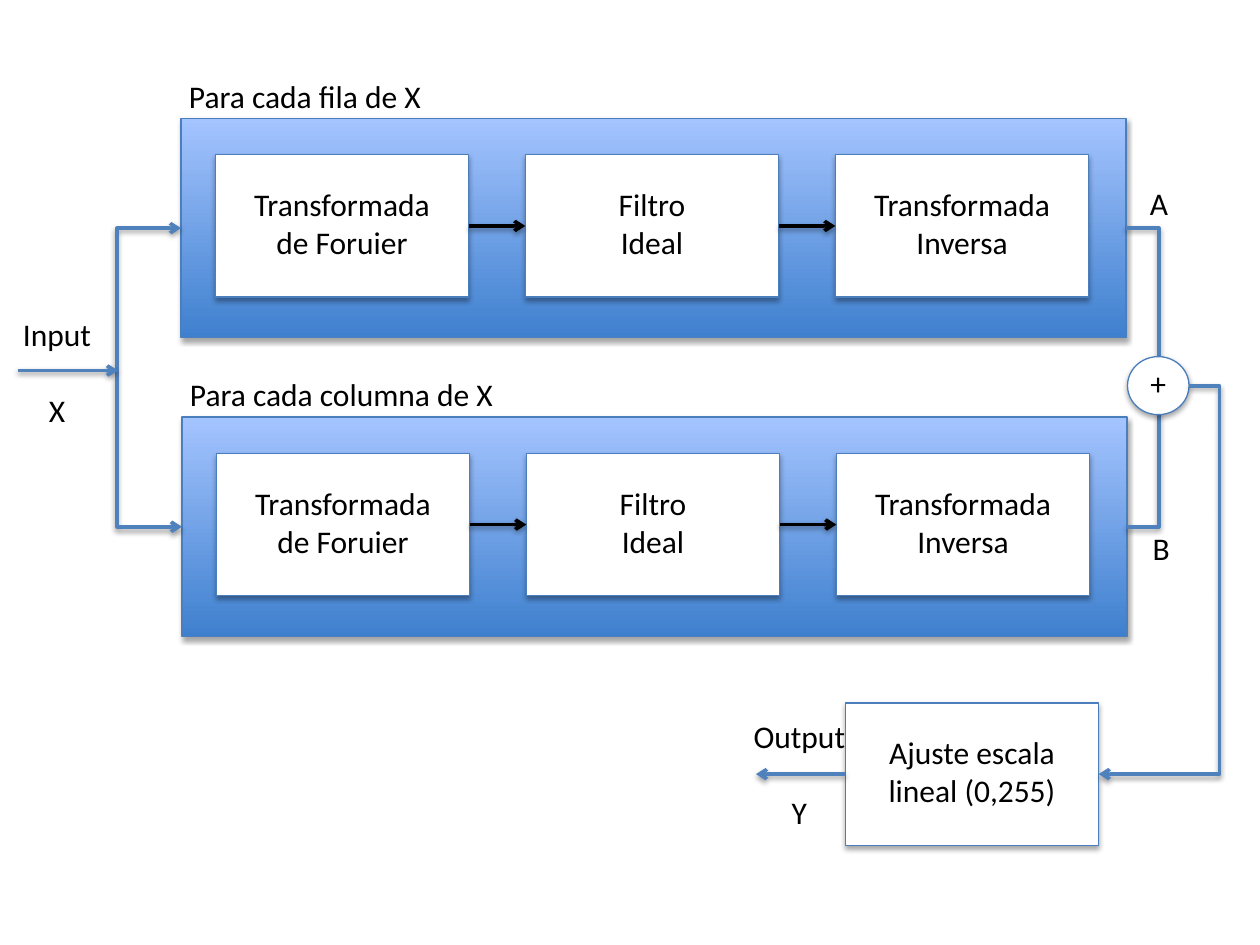
from dataclasses import dataclass

from lxml.etree import SubElement
from pptx import Presentation
from pptx.dml.color import RGBColor as Rgb
from pptx.enum.shapes import MSO_CONNECTOR as Link, MSO_SHAPE as Preset
from pptx.enum.text import MSO_ANCHOR as Anchor, PP_ALIGN as Align
from pptx.oxml.ns import qn
from pptx.util import Cm, Pt


@dataclass(frozen=True)
class Theme:
    font: str = "Calibri"
    size: float = 18
    line_gap: float = 22
    text: str = "000000"
    box: str = "FFFFFF"
    edge: str = "4B7EBC"
    flow: str = "4F81BD"
    step: str = "000000"
    panel_low: str = "3F80CE"
    panel_high: str = "A4C4FF"
    edge_width: float = 0.75
    flow_width: float = 2


THEME = Theme()
TOP, LEFT, BOTTOM, RIGHT = range(4)

# Layout in centimetres
PANEL_X, PANEL_Y, PANEL_W, PANEL_H = 3.65, 2.39, 19.05, 4.42
ROW_SHIFT, ROW_PITCH = 0.02, 6.02
BOX_W, BOX_H, BOX_PITCH = 5.11, 2.87, 6.25
BOX_DX, BOX_DY = 0.69, 0.73
ROWS = [("Para cada fila de X", 5.4), ("Para cada columna de X", 7)]
STEPS = [["Transformada", "de Foruier"], ["Filtro", "Ideal"],
         ["Transformada", "Inversa"]]


def set_all(target, values):
    for name, value in values.items():
        setattr(target, name, value)


def add_shadow(effects, opacity, distance):
    shadow = SubElement(effects, qn("a:outerShdw"), blurRad=str(Pt(3.1)),
                        dist=str(Pt(distance)), dir="5400000", rotWithShape="0")
    color = SubElement(shadow, qn("a:srgbClr"), val="000000")
    SubElement(color, qn("a:alpha"), val=str(opacity * 1000))


def write(frame, lines, align=Align.CENTER, gap=0, **layout):
    set_all(frame, {"word_wrap": False, **layout})
    for index, line in enumerate(lines):
        para = frame.paragraphs[0] if index == 0 else frame.add_paragraph()
        para.alignment = align
        if index and gap:
            para.space_before = Pt(gap)
        span = para.add_run()
        span.text = line
        set_all(span.font, {"name": THEME.font, "size": Pt(THEME.size)})
        span.font.color.rgb = Rgb.from_string(THEME.text)


def add_label(page, x, y, width, height, lines, **style):
    box = page.shapes.add_textbox(Cm(x), Cm(y), Cm(width), Cm(height))
    write(box.text_frame, lines, **style)


def add_block(page, x, y, width, height, lines=(), preset=Preset.RECTANGLE):
    block = page.shapes.add_shape(preset, Cm(x), Cm(y), Cm(width), Cm(height))
    block.shadow.inherit = False
    add_shadow(block.element.spPr.find(qn("a:effectLst")), 35, 1.8)
    block.fill.solid()
    block.fill.fore_color.rgb = Rgb.from_string(THEME.box)
    block.line.color.rgb = Rgb.from_string(THEME.edge)
    block.line.width = Pt(THEME.edge_width)
    if lines:
        write(block.text_frame, lines, vertical_anchor=Anchor.MIDDLE,
              margin_left=0, margin_right=0, margin_top=0, margin_bottom=Cm(0.12))
    return block


def add_panel(page, x, y):
    fill = add_block(page, x, y, PANEL_W, PANEL_H).fill
    fill.gradient()
    fill.gradient_angle = 90
    for stop, color in zip(fill.gradient_stops, (THEME.panel_low, THEME.panel_high)):
        stop.color.rgb = Rgb.from_string(color)


def add_link(page, start, end, color=THEME.flow, ends=("tailEnd",), via_x=None):
    """Draw a straight link, or an elbow whose upright part stands at via_x."""
    kind = Link.STRAIGHT if via_x is None else Link.ELBOW
    link = page.shapes.add_connector(kind, *(Cm(value) for value in start + end))
    link.line.color.rgb = Rgb.from_string(color)
    link.line.width = Pt(THEME.flow_width)
    properties = link.element.spPr
    for name in ends:
        SubElement(properties.find(qn("a:ln")), qn(f"a:{name}"), type="arrow")
    add_shadow(SubElement(properties, qn("a:effectLst")), 38, 1.6)
    if via_x is not None:
        bend = round((via_x - start[0]) / (end[0] - start[0]) * 100000)
        guides = properties.find(qn("a:prstGeom")).get_or_add_avLst()
        SubElement(guides, qn("a:gd"), name="adj1", fmla=f"val {bend}")
    return link


def add_row(page, x, y, title, title_width):
    add_panel(page, x, y)
    add_label(page, x - 0.09, y - 0.97, title_width, 1.02, [title], align=Align.LEFT)
    top = y + BOX_DY
    middle = top + BOX_H / 2
    previous = None
    for index, lines in enumerate(STEPS):
        left = x + BOX_DX + index * BOX_PITCH
        box = add_block(page, left, top, BOX_W, BOX_H, lines)
        if previous is not None:
            arrow = add_link(page, (left - BOX_PITCH + BOX_W, middle),
                             (left, middle), THEME.step)
            arrow.begin_connect(previous, RIGHT)
            arrow.end_connect(box, LEFT)
        previous = box


def main():
    deck = Presentation()
    deck.slide_width, deck.slide_height = Cm(25.4), Cm(19.05)
    page = deck.slides.add_slide(deck.slide_layouts[6])

    # Row and column filters
    corners = [(PANEL_X + i * ROW_SHIFT, PANEL_Y + i * ROW_PITCH) for i in range(2)]
    for (x, y), (title, title_width) in zip(corners, ROWS):
        add_row(page, x, y, title, title_width)

    # Input split and branches to the sum
    left_ends = [(x, y + PANEL_H / 2) for x, y in corners]
    right_ends = [(x + PANEL_W, y) for x, y in left_ends]
    add_link(page, *left_ends, ends=("headEnd", "tailEnd"), via_x=2.36)
    add_link(page, (0.36, 7.47), (2.38, 7.47))
    add_link(page, *right_ends, ends=(), via_x=23.36)
    add_block(page, 22.73, 7.19, 1.24, 1.17, ["+"], Preset.OVAL)

    # Scale adjustment and output
    scale = add_block(page, 17.04, 14.17, BOX_W, BOX_H,
                      ["Ajuste escala", "lineal (0,255)"])
    middle = 14.17 + BOX_H / 2
    add_link(page, (23.97, 7.78), (17.04 + BOX_W, middle), via_x=24.59)
    add_link(page, (17.04, middle), (15.24, middle)).begin_connect(scale, LEFT)

    # Signal names
    add_label(page, 0.2, 6.22, 1.9, 2.57, ["Input", "X"], gap=THEME.line_gap)
    add_label(page, 14.92, 14.33, 2.39, 2.57, ["Output", "Y"], gap=THEME.line_gap)
    add_label(page, 22.92, 3.58, 0.89, 1.02, ["A"])
    add_label(page, 22.98, 10.53, 0.86, 1.02, ["B"])

    deck.save("out.pptx")


if __name__ == "__main__":
    main()
